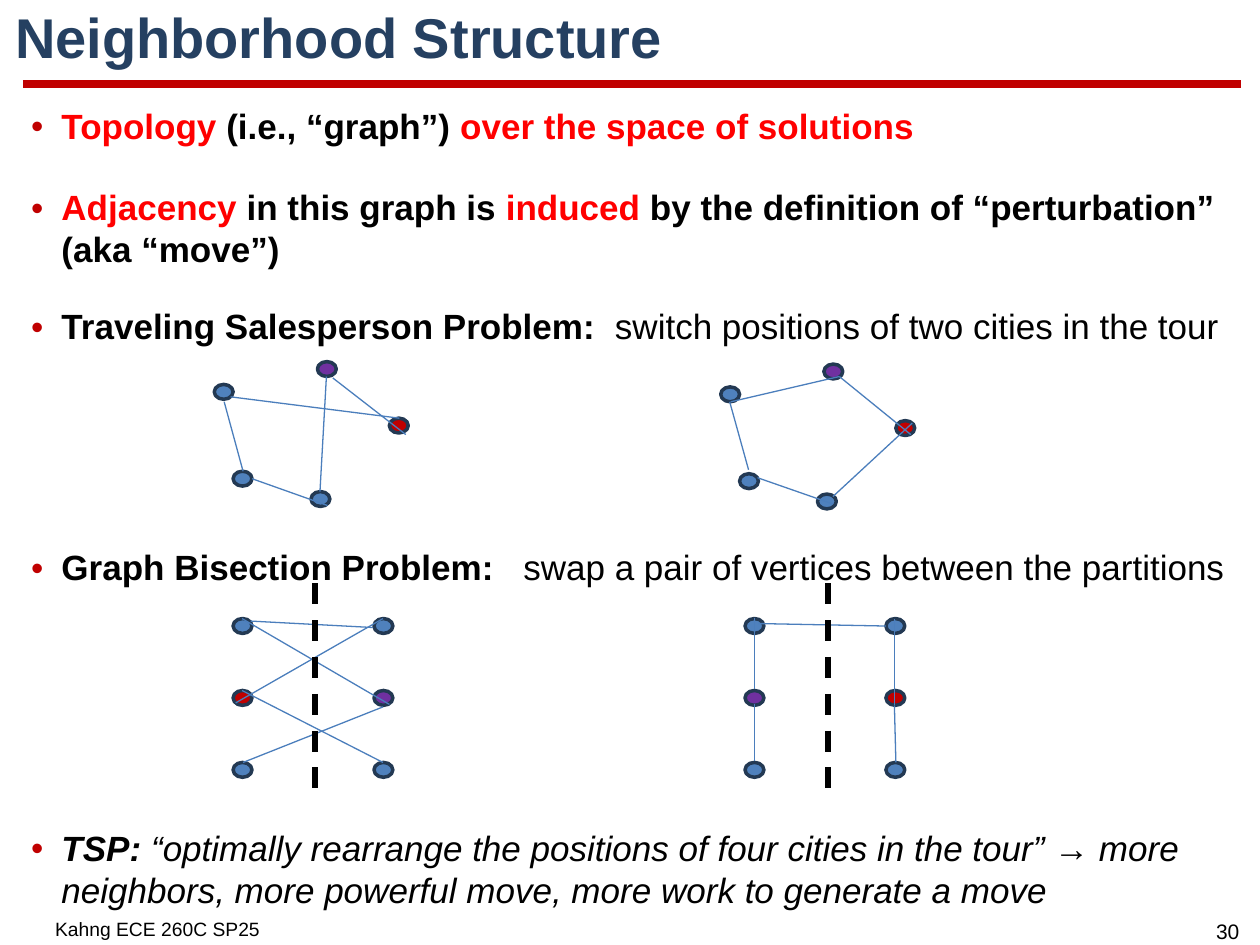
"""Build the neighborhood structure slide with its four example graphs."""
from dataclasses import dataclass

from lxml import etree
from pptx import Presentation
from pptx.dml.color import RGBColor
from pptx.enum.dml import MSO_LINE
from pptx.enum.shapes import MSO_CONNECTOR, MSO_SHAPE
from pptx.enum.text import MSO_ANCHOR, MSO_AUTO_SIZE, PP_ALIGN
from pptx.oxml.ns import qn
from pptx.slide import Slide
from pptx.util import Cm, Pt

OVAL = MSO_SHAPE.OVAL
LINE = MSO_CONNECTOR.STRAIGHT
DASH = MSO_LINE.DASH
MIDDLE = MSO_ANCHOR.MIDDLE
FIXED = MSO_AUTO_SIZE.NONE
LEFT, CENTER = PP_ALIGN.LEFT, PP_ALIGN.CENTER
FONT = "Arial"
COLORS = {
    "title": "254061", "rule": "C00000", "key": "FF0000", "text": "000000",
    "blue": "4F81BD", "red": "C00000", "purple": "7030A0",
    "rim": "233953", "edge": "4B7EBC",
}


@dataclass
class Span:
    text: str
    color: str = "text"
    bold: bool = False


@dataclass
class Bullet:
    spans: list[Span]
    before: float = 0
    italic: bool = False


@dataclass
class Graph:
    dots: list[tuple[float, float, str]]
    edges: list[tuple[float, float, float, float]]


def color(name: str) -> RGBColor:
    return RGBColor.from_string(COLORS[name])


def add_line(slide: Slide, ends: tuple, name: str, width: float, dash=None) -> None:
    line = slide.shapes.add_connector(LINE, *(Cm(v) for v in ends))
    line.line.color.rgb = color(name)
    line.line.width = Pt(width)
    if dash is not None:
        line.line.dash_style = dash
    etree.SubElement(line._element.spPr, qn("a:effectLst"))


def add_graph(slide: Slide, graph: Graph) -> None:
    for x, y, name in graph.dots:
        dot = slide.shapes.add_shape(OVAL, Cm(x), Cm(y), Cm(0.38), Cm(0.3))
        dot.shadow.inherit = False
        dot.fill.solid()
        dot.fill.fore_color.rgb = color(name)
        dot.line.color.rgb = color("rim")
        dot.line.width = Pt(2)
    for ends in graph.edges:
        add_line(slide, ends, "edge", 0.75)


def add_box(slide: Slide, x: float, y: float, w: float, h: float):
    box = slide.shapes.add_textbox(Cm(x), Cm(y), Cm(w), Cm(h))
    box.text_frame.word_wrap = True
    return box.text_frame


def add_note(slide: Slide, area: tuple, text: str, size: int, align) -> None:
    para = add_box(slide, *area).paragraphs[0]
    para.text = text
    para.alignment = align
    para.font.name, para.font.size = FONT, Pt(size)
    para.font.color.rgb = color("text")


def add_title(slide: Slide, text: str) -> None:
    title = slide.shapes.title
    title.left, title.top = Cm(0.05), Cm(0.2)
    title.width, title.height = Cm(25.22), Cm(1.24)
    frame = title.text_frame
    frame.text = text
    frame.auto_size = FIXED
    frame.vertical_anchor = MIDDLE
    para = frame.paragraphs[0]
    para.alignment = LEFT
    para.line_spacing = 0.9
    font = para.font
    font.name, font.size, font.bold = FONT, Pt(32), True
    font.color.rgb = color("title")


def add_list(slide: Slide, items: list[Bullet]) -> None:
    frame = add_box(slide, 0.33, 2.01, 24.97, 15.8)
    for i, item in enumerate(items):
        para = frame.add_paragraph() if i else frame.paragraphs[0]
        para.line_spacing = 0.99
        para.space_before = Pt(item.before)
        props = para._p.get_or_add_pPr()
        props.set("marL", str(Cm(0.66)))
        props.set("indent", str(-Cm(0.61)))
        tint = etree.SubElement(props, qn("a:buClr"))
        etree.SubElement(tint, qn("a:srgbClr"), val=COLORS["rule"])
        etree.SubElement(props, qn("a:buFont"), typeface=FONT)
        etree.SubElement(props, qn("a:buChar"), char="•")
        font = para.font
        font.name, font.size, font.italic = FONT, Pt(20), item.italic
        for span in item.spans:
            run = para.add_run()
            run.text = span.text
            run.font.bold = span.bold
            run.font.color.rgb = color(span.color)


def tour(dx: float, dy: float, edges: list) -> Graph:
    spots = [(4.32, 7.75, "blue"), (6.4, 7.29, "purple"), (4.7, 9.5, "blue"),
             (7.85, 8.43, "red"), (6.27, 9.91, "blue")]
    return Graph([(x + dx, y + dy, name) for x, y, name in spots], edges)


def split(left: float, mids: tuple[str, str], edges: list) -> Graph:
    dots = [(left + 2.84 * col, 12.47 + 1.45 * row, name)
            for col, mid in enumerate(mids)
            for row, name in enumerate(("blue", mid, "blue"))]
    return Graph(dots, edges)


BULLETS = [
    Bullet([Span("Topology", "key", True), Span(" (i.e., “graph”) ", bold=True),
            Span("over the space of solutions", "key", True)]),
    Bullet([Span("Adjacency", "key", True), Span(" in this graph is ", bold=True),
            Span("induced", "key", True),
            Span(" by the definition of “perturbation” (aka “move”)", bold=True)], 22.8),
    Bullet([Span("Traveling Salesperson Problem:  ", bold=True),
            Span("switch positions of two cities in the tour")], 20.6),
    Bullet([Span("Graph Bisection Problem:   ", bold=True),
            Span("swap a pair of vertices between the partitions")], 113.8),
    Bullet([Span("TSP: ", bold=True),
            Span("“optimally rearrange the positions of four cities in the tour” → "
                 "more neighbors, more powerful move, more work to generate a move")],
           136.6, True),
]

GRAPHS = [
    tour(0, 0, [
        (4.52, 8.1, 4.9, 9.5), (4.65, 8, 8.05, 8.43), (6.71, 7.62, 8.18, 8.76),
        (6.58, 7.59, 6.45, 9.91), (5.08, 9.65, 6.6, 10.19)]),
    tour(10.21, 0.05, [
        (14.71, 8.1, 15.09, 9.47), (16.92, 7.59, 18.36, 8.76),
        (18.39, 8.53, 16.79, 10.01), (15.27, 9.63, 16.79, 10.16),
        (14.73, 8.1, 16.92, 7.59)]),
    split(4.7, ("red", "purple"), [
        (4.88, 12.47, 7.85, 14.2), (4.9, 15.37, 7.72, 14.25),
        (4.88, 13.92, 7.72, 15.37), (7.72, 12.47, 4.75, 14.17),
        (5.05, 12.52, 7.52, 12.65)]),
    split(15.02, ("purple", "red"), [
        (15.21, 12.45, 15.21, 13.89), (15.21, 15.34, 15.21, 14.2),
        (18.03, 14.22, 18.06, 15.37), (18.03, 12.47, 18.03, 14.22),
        (15.29, 12.57, 17.86, 12.62)]),
]


def main() -> None:
    deck = Presentation()
    deck.slide_width, deck.slide_height = Cm(25.4), Cm(19.05)
    slide = deck.slides.add_slide(deck.slide_layouts[5])
    add_title(slide, "Neighborhood Structure")
    add_line(slide, (0.46, 1.7, 25.02, 1.7), "rule", 4.5)
    add_list(slide, BULLETS)
    add_note(slide, (0.86, 18.36, 4.75, 0.69), "Kahng ECE 260C SP25", 11, LEFT)
    add_note(slide, (24.13, 18.39, 1.24, 0.76), "30", 12, CENTER)
    for graph in GRAPHS:
        add_graph(slide, graph)
    for x in (6.35, 16.69):
        add_line(slide, (x, 11.76, x, 16), "text", 3, DASH)
    deck.save("out.pptx")


if __name__ == "__main__":
    main()
